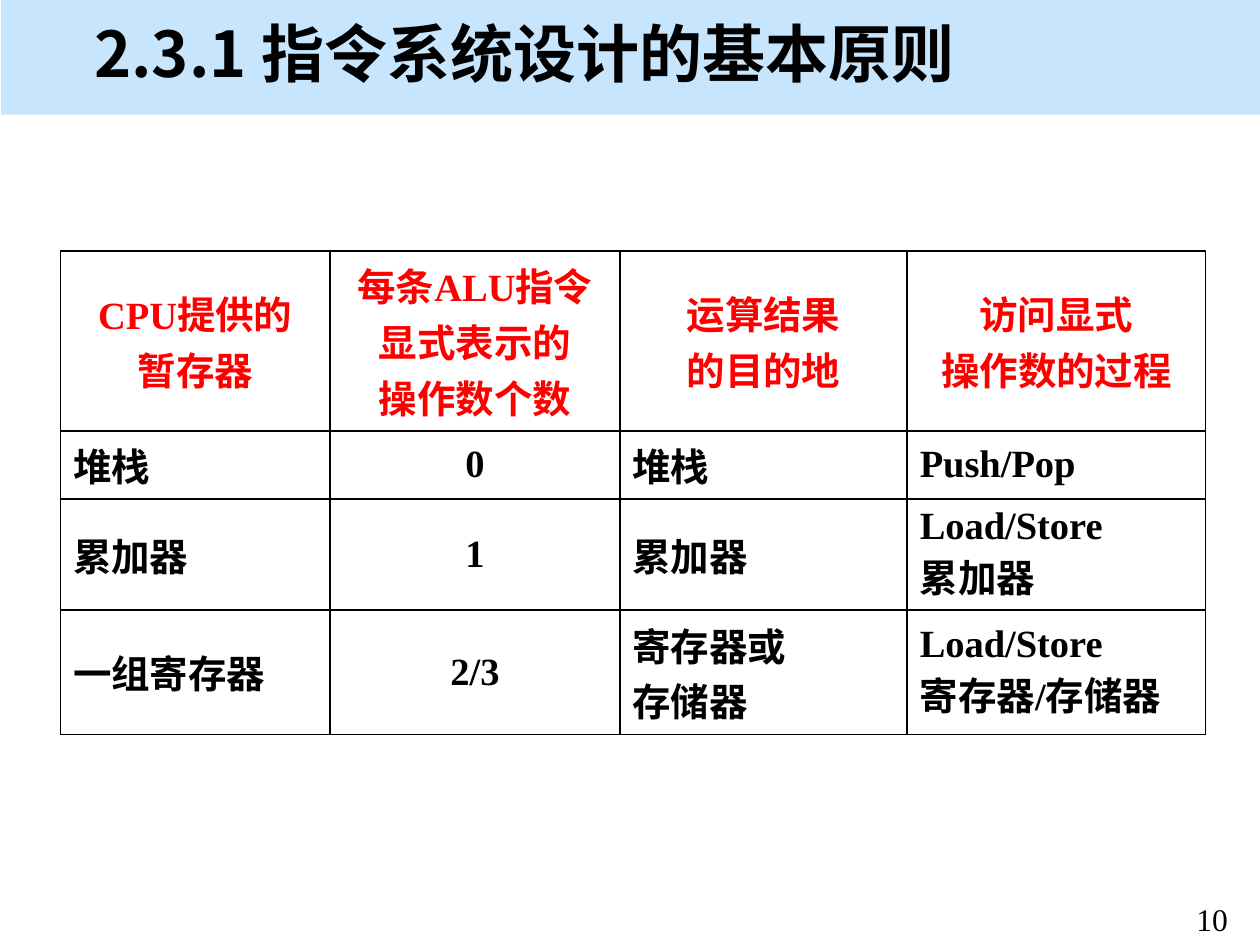
from lxml.etree import SubElement
from pptx import Presentation
from pptx.dml.color import RGBColor
from pptx.enum.shapes import MSO_SHAPE
from pptx.enum.text import MSO_ANCHOR, PP_ALIGN
from pptx.oxml.ns import qn
from pptx.util import Inches, Pt

# Content
TITLE = "2.3.1 指令系统设计的基本原则"
PAGE = "10"
HEADER = ["CPU提供的\n暂存器", "每条ALU指令\n显式表示的\n操作数个数",
          "运算结果\n的目的地", "访问显式\n操作数的过程"]
ROWS = [
    ["堆栈", "0", "堆栈", "Push/Pop"],
    ["累加器", "1", "累加器", "Load/Store\n累加器"],
    ["一组寄存器", "2/3", "寄存器或\n存储器", "Load/Store\n寄存器/存储器"],
]
COL_WIDTHS = [2.14, 2.3, 2.28, 2.37]
ROW_HEIGHTS = [1.43, 0.54, 0.88, 0.99]
CENTERED_COL = 1


class Theme:
    band = "C7E6FD"
    ink = "000000"
    accent = "FF0000"
    latin = "Times New Roman"
    cjk = "Noto Sans CJK SC"
    title_size = 36
    table_size = 22
    page_size = 18
    border = 0.96
    hanging = 0.38


def write(tf, text, size, color=Theme.ink, font=Theme.latin, bold=False,
          align=PP_ALIGN.LEFT, hanging=0):
    for i, line in enumerate(text.split("\n")):
        p = tf.paragraphs[0] if i == 0 else tf.add_paragraph()
        p.alignment = align
        if hanging:
            pPr = p._p.get_or_add_pPr()
            pPr.set("marL", str(Inches(hanging)))
            pPr.set("indent", str(-Inches(hanging)))
        r = p.add_run()
        r.text = line
        r.font.size = Pt(size)
        r.font.bold = bold
        r.font.name = font
        r.font.color.rgb = RGBColor.from_string(color)
        SubElement(r._r.get_or_add_rPr(), qn("a:ea"), typeface=Theme.cjk)


def add_text(s, box, text, size, anchor=MSO_ANCHOR.TOP, **fmt):
    tf = s.shapes.add_textbox(*map(Inches, box)).text_frame
    tf.word_wrap = True
    tf.vertical_anchor = anchor
    write(tf, text, size, **fmt)


def outline(cell):
    tcPr = cell._tc.get_or_add_tcPr()
    for side in ("lnL", "lnR", "lnT", "lnB"):
        ln = SubElement(tcPr, qn(f"a:{side}"), w=str(Pt(Theme.border)))
        fill = SubElement(ln, qn("a:solidFill"))
        SubElement(fill, qn("a:srgbClr"), val=Theme.ink)


prs = Presentation()
prs.slide_width, prs.slide_height = Inches(10), Inches(7.5)
s = prs.slides.add_slide(prs.slide_layouts[6])

# Title band
band = s.shapes.add_shape(MSO_SHAPE.RECTANGLE, Inches(0.01), 0,
                          Inches(9.99), Inches(0.91))
band.shadow.inherit = False
band.fill.solid()
band.fill.fore_color.rgb = RGBColor.from_string(Theme.band)
band.line.fill.background()

# Page number and title
add_text(s, (9.27, 7.09, 0.7, 0.33), PAGE, Theme.page_size,
         align=PP_ALIGN.CENTER)
add_text(s, (0.65, 0.08, 8.58, 0.67), TITLE, Theme.title_size,
         anchor=MSO_ANCHOR.MIDDLE, font=Theme.cjk, bold=True)

# Comparison table
grid = [HEADER] + ROWS
table = s.shapes.add_table(
    len(grid), len(HEADER), Inches(0.48), Inches(1.99),
    Inches(sum(COL_WIDTHS)), Inches(sum(ROW_HEIGHTS))).table
table.first_row = table.horz_banding = False
for col, width in zip(table.columns, COL_WIDTHS):
    col.width = Inches(width)
for row, height in zip(table.rows, ROW_HEIGHTS):
    row.height = Inches(height)

for i, texts in enumerate(grid):
    for j, text in enumerate(texts):
        cell = table.cell(i, j)
        cell.vertical_anchor = MSO_ANCHOR.MIDDLE
        outline(cell)
        cell.fill.background()
        head = i == 0
        centered = head or j == CENTERED_COL
        write(cell.text_frame, text, Theme.table_size, bold=True,
              color=Theme.accent if head else Theme.ink,
              align=PP_ALIGN.CENTER if centered else PP_ALIGN.LEFT,
              hanging=0 if head else Theme.hanging)

prs.save("out.pptx")
